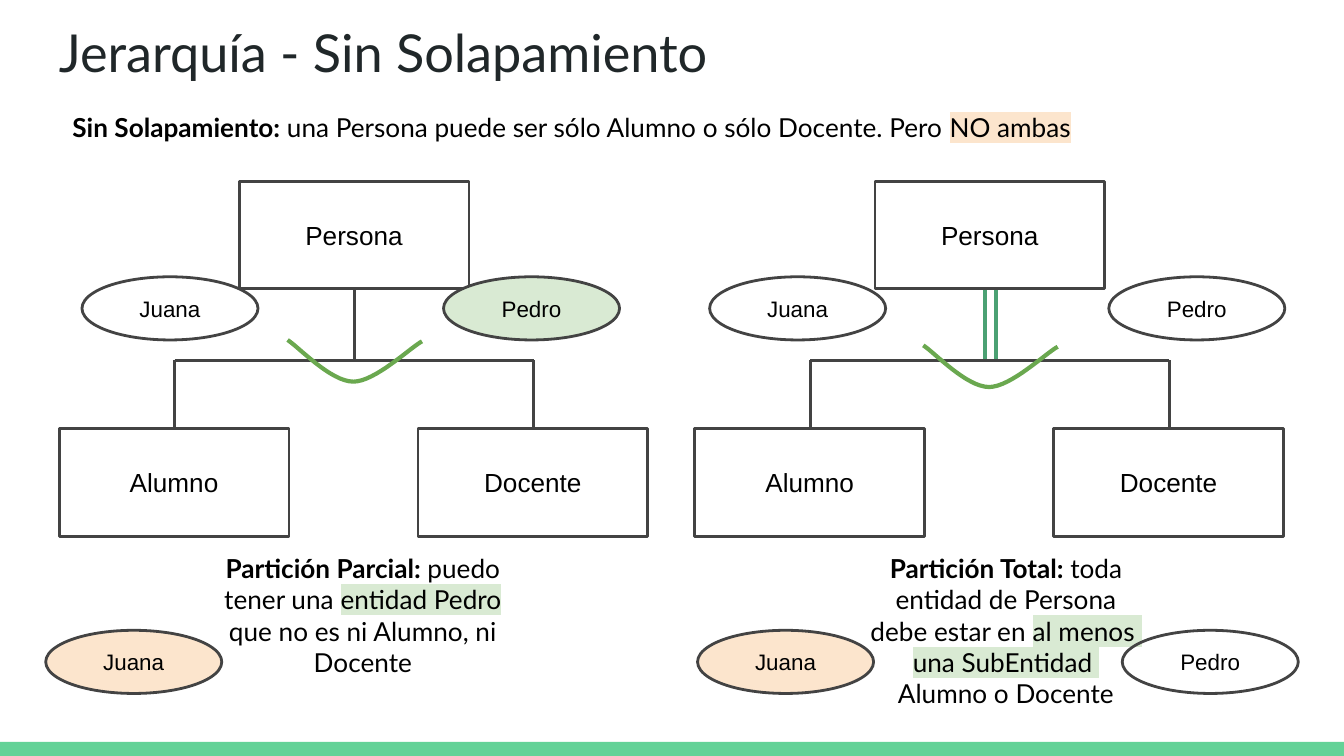
from lxml.etree import SubElement
from pptx import Presentation
from pptx.dml.color import RGBColor
from pptx.enum.shapes import MSO_CONNECTOR, MSO_SHAPE as Shape
from pptx.enum.text import MSO_ANCHOR as Anchor, PP_ALIGN as Align
from pptx.oxml.ns import qn
from pptx.util import Pt

SCALE = 9144  # EMU per px, 100 px to the inch
INK, BLACK, TITLE = "434343", "000000", "202729"
GREEN, TEAL, ARC_GREEN = "63D297", "4BA173", "6AA84F"
MINT, PEACH = "D9EAD3", "FCE5CD"
BOX_W, BOX_H = 171, 80
OVAL_W, OVAL_H = 131, 47
BAR_Y, CHILD_Y = 268, 319


def px(value):
    return round(value * SCALE)


def color(hex_string):
    return RGBColor.from_string(hex_string)


def add_run(paragraph, text, size, font="Lato", ink=BLACK, bold=False, highlight=None):
    run = paragraph.add_run()
    run.text = text
    run.font.size, run.font.name, run.font.bold = Pt(size), font, bold
    run.font.color.rgb = color(ink)
    if highlight:
        fill = run.font._element.find(qn("a:solidFill"))
        mark = SubElement(run.font._element, qn("a:highlight"))
        SubElement(mark, qn("a:srgbClr")).set("val", highlight)
        fill.addnext(mark)


def set_frame(frame, anchor):
    frame.word_wrap = True
    frame.vertical_anchor = anchor
    frame.margin_left = frame.margin_right = px(10)
    frame.margin_top = frame.margin_bottom = px(10)


def add_text(slide, x, y, w, h, paragraphs, align=Align.LEFT):
    """Each paragraph is a list of (text, run options)."""
    frame = slide.shapes.add_textbox(px(x), px(y), px(w), px(h)).text_frame
    set_frame(frame, Anchor.TOP)
    for index, runs in enumerate(paragraphs):
        paragraph = frame.add_paragraph() if index else frame.paragraphs[0]
        paragraph.alignment = align
        for text, options in runs:
            add_run(paragraph, text, **{"size": 14, **options})


def style(shape, fill, line, width=1.5):
    shape.shadow.inherit = False
    if fill:
        shape.fill.solid()
        shape.fill.fore_color.rgb = color(fill)
    else:
        shape.fill.background()
    if line:
        shape.line.color.rgb = color(line)
        shape.line.width = Pt(width)
    else:
        shape.line.fill.background()


def add_node(slide, kind, x, y, w, h, label, size, fill=None):
    node = slide.shapes.add_shape(kind, px(x), px(y), px(w), px(h))
    style(node, fill, INK)
    set_frame(node.text_frame, Anchor.MIDDLE)
    paragraph = node.text_frame.paragraphs[0]
    paragraph.alignment = Align.CENTER
    add_run(paragraph, label, size, "Arial")


def add_entity(slide, x, y, label):
    add_node(slide, Shape.RECTANGLE, x, y, BOX_W, BOX_H, label, 14)


def add_instance(slide, x, y, label, fill=None):
    add_node(slide, Shape.OVAL, x, y, OVAL_W, OVAL_H, label, 12, fill)


def add_line(slide, x1, y1, x2, y2, ink=INK, width=1.5):
    line = slide.shapes.add_connector(MSO_CONNECTOR.STRAIGHT, px(x1), px(y1), px(x2), px(y2))
    line.line.color.rgb = color(ink)
    line.line.width = Pt(width)
    SubElement(line._element.spPr, qn("a:effectLst"))


def bezier(p0, p1, p2, p3, steps=16):
    for step in range(1, steps + 1):
        t = step / steps
        u = 1 - t
        yield tuple(u**3 * a + 3 * u * u * t * b + 3 * u * t * t * c + t**3 * d
                    for a, b, c, d in zip(p0, p1, p2, p3))


def add_arc(slide, x, y):
    """Draw the mark of a hierarchy without overlap."""
    halves = [((0, 0), (8, 5), (32, 31), (49, 31)),
              ((49, 31), (65, 31), (91, 6), (100, 1))]
    points = [(px(x + dx), px(y + dy)) for half in halves for dx, dy in bezier(*half)]
    builder = slide.shapes.build_freeform(px(x), px(y))
    builder.add_line_segments(points, close=False)
    style(builder.convert_to_shape(), None, ARC_GREEN, 2.25)


def add_hierarchy(slide, x, arc_y, total=False):
    """Draw Persona over Alumno and Docente; a total one has a double stem."""
    left, right = x + 86, x + 353
    middle = x + 220
    add_entity(slide, x + 134, 135, "Persona")
    add_entity(slide, x + 267, CHILD_Y, "Docente")
    add_entity(slide, x, CHILD_Y, "Alumno")
    if total:
        for offset in (-4, 4):
            add_line(slide, middle + offset, 216, middle + offset, BAR_Y, TEAL, 2.25)
    else:
        add_line(slide, middle, 215, middle, BAR_Y)
    add_line(slide, left, BAR_Y, right, BAR_Y)
    for child in (left, right):
        add_line(slide, child, BAR_Y, child, CHILD_Y)
    add_arc(slide, x + 170, arc_y)


def main():
    deck = Presentation()
    deck.slide_width = px(1000)
    deck.slide_height = deck.slide_width * 9 // 16
    slide = deck.slides.add_slide(deck.slide_layouts[6])
    bold, mint = {"bold": True}, {"highlight": MINT}

    footer = slide.shapes.add_shape(Shape.RECTANGLE, 0, px(552), deck.slide_width,
                                    deck.slide_height - px(552))
    style(footer, GREEN, None)
    add_text(slide, 34, 5, 932, 63,
             [[("Jerarquía - Sin Solapamiento", {"size": 28, "ink": TITLE})]])
    add_text(slide, 44, 73, 911, 56, [[
        ("Sin Solapamiento: ", bold),
        ("una Persona puede ser sólo Alumno o sólo Docente. Pero ", {}),
        ("NO ambas", {"highlight": PEACH})]])

    add_hierarchy(slide, 44, 253)
    add_hierarchy(slide, 517, 257, total=True)
    add_text(slide, 143, 401, 254, 56, [[
        ("Partición Parcial: ", bold), ("puedo tener una ", {}),
        ("entidad Pedro ", mint), ("que no es ni Alumno, ni Docente", {})]], Align.CENTER)
    add_text(slide, 635, 401, 227, 151, [
        [("Partición Total: ", bold), ("toda entidad de Persona debe estar en ", {}),
         ("al menos ", mint)],
        [("una SubEntidad ", mint)],
        [("Alumno o Docente", {})]], Align.CENTER)

    for x, y, name, fill in [
            (61, 206, "Juana", None), (330, 206, "Pedro", MINT),
            (528, 206, "Juana", None), (825, 206, "Pedro", None),
            (34, 469, "Juana", PEACH), (519, 469, "Juana", PEACH),
            (835, 469, "Pedro", None)]:
        add_instance(slide, x, y, name, fill)
    deck.save("out.pptx")


if __name__ == "__main__":
    main()
